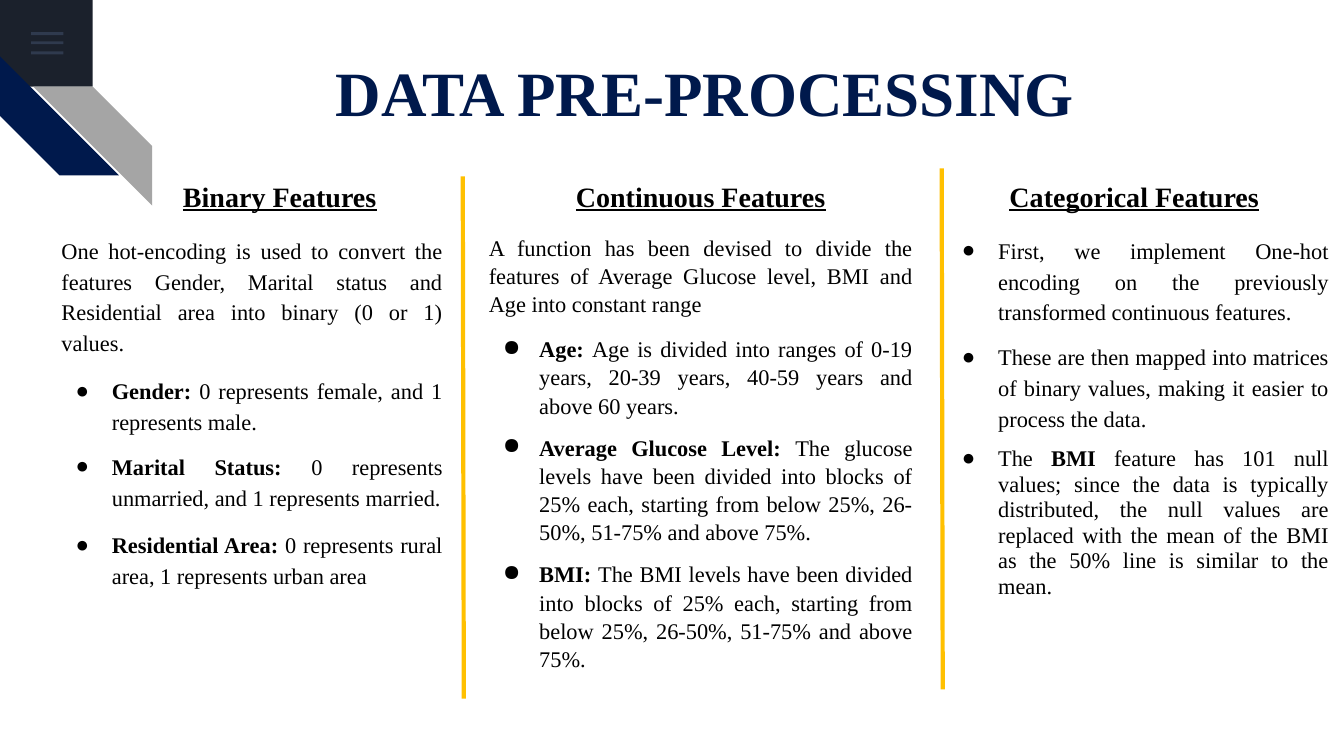
from lxml import etree
from pptx import Presentation
from pptx.dml.color import RGBColor
from pptx.enum.shapes import MSO_CONNECTOR, MSO_SHAPE
from pptx.enum.text import MSO_ANCHOR, MSO_AUTO_SIZE, PP_ALIGN
from pptx.oxml.ns import qn
from pptx.util import Inches, Pt

FONT = "Times New Roman"
COLORS = {
    "navy": "00194C",
    "corner": "1B212C",
    "menu": "55688B",
    "gray": "A5A5A5",
    "gold": "FFC000",
    "black": "000000",
}

BINARY = [
    (False, 1.15, 0, "", "One hot-encoding is used to convert the features Gender, Marital status "
     "and Residential area into binary (0 or 1) values."),
    (True, 1.15, 12, "Gender: ", "0 represents female, and 1 represents male."),
    (True, 1.15, 10, "Marital Status: ", "0 represents unmarried, and 1 represents married."),
    (True, 1.15, 12, "Residential Area: ", "0 represents rural area, 1 represents urban area"),
]
CONTINUOUS = [
    (False, 1.05, 0, "", "A function has been devised to divide the features of Average Glucose "
     "level, BMI and Age into constant range"),
    (True, 1.05, 12, "Age: ", "Age is divided into ranges of 0-19 years, 20-39 years, "
     "40-59 years and above 60 years."),
    (True, 1.05, 10, "Average Glucose Level: ", "The glucose levels have been divided into blocks "
     "of 25% each, starting from below 25%, 26-50%, 51-75% and above 75%."),
    (True, 1.05, 10, "BMI: ", "The BMI levels have been divided into blocks of 25% each, "
     "starting from below 25%, 26-50%, 51-75% and above 75%."),
]
CATEGORICAL = [
    (True, 1.15, 0, "", "First, we implement One-hot encoding on the previously transformed "
     "continuous features."),
    (True, 1.15, 10, "", "These are then mapped into matrices of binary values, making it easier "
     "to process the data."),
    (True, 0.95, 10, "The *BMI* ", "feature has 101 null values; since the data is typically "
     "distributed, the null values are replaced with the mean of the BMI as the 50% line is "
     "similar to the mean."),
]


def rgb(name):
    return RGBColor.from_string(COLORS[name])


def add_block(slide, preset, left, top, width, height, color, alpha=None):
    shape = slide.shapes.add_shape(preset, Inches(left), Inches(top), Inches(width), Inches(height))
    shape.shadow.inherit = False
    shape.fill.solid()
    shape.fill.fore_color.rgb = rgb(color)
    shape.line.fill.background()
    if alpha:
        fill_color = shape.fill._xPr.find(".//" + qn("a:srgbClr"))
        etree.SubElement(fill_color, qn("a:alpha")).set("val", str(alpha * 1000))
    return shape


def add_stripe(slide, left, top, rotation, color):
    stripe = add_block(slide, MSO_SHAPE.DIAGONAL_STRIPE, left, top, 1.18, 1.18, color)
    stripe.adjustments[0] = 0.5
    stripe.rotation = rotation


def add_divider(slide, bottom_x, bottom, top_x, top):
    line = slide.shapes.add_connector(MSO_CONNECTOR.STRAIGHT, Inches(bottom_x), Inches(bottom),
                                      Inches(top_x), Inches(top))
    line.line.color.rgb = rgb("gold")
    line.line.width = Pt(3)
    etree.SubElement(line._element.spPr, qn("a:effectLst"))


def place(shape, left, top, width, height, anchor):
    shape.left, shape.top = Inches(left), Inches(top)
    shape.width, shape.height = Inches(width), Inches(height)
    frame = shape.text_frame
    frame.word_wrap = True
    frame.auto_size = MSO_AUTO_SIZE.NONE
    frame.vertical_anchor = anchor
    return frame


def add_run(paragraph, text, size, color="black", bold=False, underline=False):
    run = paragraph.add_run()
    run.text = text
    run.font.name = FONT
    run.font.size = Pt(size)
    run.font.color.rgb = rgb(color)
    run.font.bold = bold
    run.font.underline = underline


def set_bullet(paragraph, bulleted):
    properties = paragraph._p.get_or_add_pPr()
    properties.set("marL", str(Inches(0.5 if bulleted else 0)))
    properties.set("indent", str(Inches(-0.36 if bulleted else 0)))
    if bulleted:
        bullet_color = etree.SubElement(properties, qn("a:buClr"))
        etree.SubElement(bullet_color, qn("a:srgbClr")).set("val", COLORS["black"])
        etree.SubElement(properties, qn("a:buChar")).set("char", "●")
    else:
        etree.SubElement(properties, qn("a:buNone"))


def fill_title(title):
    frame = place(title, 3.23, 0.57, 8.29, 0.72, MSO_ANCHOR.BOTTOM)
    frame.margin_bottom = 0
    paragraph = frame.paragraphs[0]
    paragraph.alignment = PP_ALIGN.LEFT
    paragraph.line_spacing = 0.9
    add_run(paragraph, "DATA PRE-PROCESSING", 45, "navy", bold=True)


def fill_heading(shape, text, left, width):
    paragraph = place(shape, left, 1.31, width, 0.85, MSO_ANCHOR.BOTTOM).paragraphs[0]
    paragraph.alignment = PP_ALIGN.CENTER
    paragraph.space_before = Pt(0)
    add_run(paragraph, text, 20, bold=True, underline=True)


def fill_list(shape, items, left, width):
    frame = place(shape, left, 2.26, width, 4.57, MSO_ANCHOR.TOP)
    for index, (bulleted, spacing, before, lead, text) in enumerate(items):
        paragraph = frame.add_paragraph() if index else frame.paragraphs[0]
        set_bullet(paragraph, bulleted)
        paragraph.alignment = PP_ALIGN.JUSTIFY
        paragraph.line_spacing = spacing
        paragraph.space_before = Pt(before)
        parts = lead.split("*") if "*" in lead else ["", lead]
        for position, part in enumerate(parts + [text] if len(parts) == 2 else parts[:2] + [parts[2] + text]):
            if part:
                add_run(paragraph, part, 16, bold=position == 1)


def add_text_box(slide):
    return slide.shapes.add_textbox(0, 0, Inches(1), Inches(1))


def main():
    presentation = Presentation()
    presentation.slide_width = Inches(13.33)
    presentation.slide_height = Inches(7.5)
    slide = presentation.slides.add_slide(presentation.slide_layouts.get_by_name("Comparison"))
    title, left_heading, left_list, right_heading, right_list = slide.placeholders

    add_block(slide, MSO_SHAPE.RECTANGLE, 0, 0, 0.92, 0.86, "corner")
    for top in (0.32, 0.41, 0.51):
        add_block(slide, MSO_SHAPE.RECTANGLE, 0.31, top, 0.32, 0.03, "menu", alpha=36)
    add_stripe(slide, 0, 0.56, 270, "navy")
    add_stripe(slide, 0.33, 0.86, 90, "gray")

    fill_title(title)
    fill_heading(left_heading, "Binary Features", 0.5, 4.55)
    fill_list(left_list, BINARY, 0.51, 3.98)
    fill_heading(right_heading, "Categorical Features", 9.35, 3.8)
    fill_list(right_list, CATEGORICAL, 9.3, 3.98)
    fill_heading(add_text_box(slide), "Continuous Features", 4.75, 4.4)
    fill_list(add_text_box(slide), CONTINUOUS, 4.75, 4.4)

    add_divider(slide, 4.6, 6.93, 4.59, 1.75)
    add_divider(slide, 9.35, 6.84, 9.34, 1.67)
    presentation.save("out.pptx")


if __name__ == "__main__":
    main()
